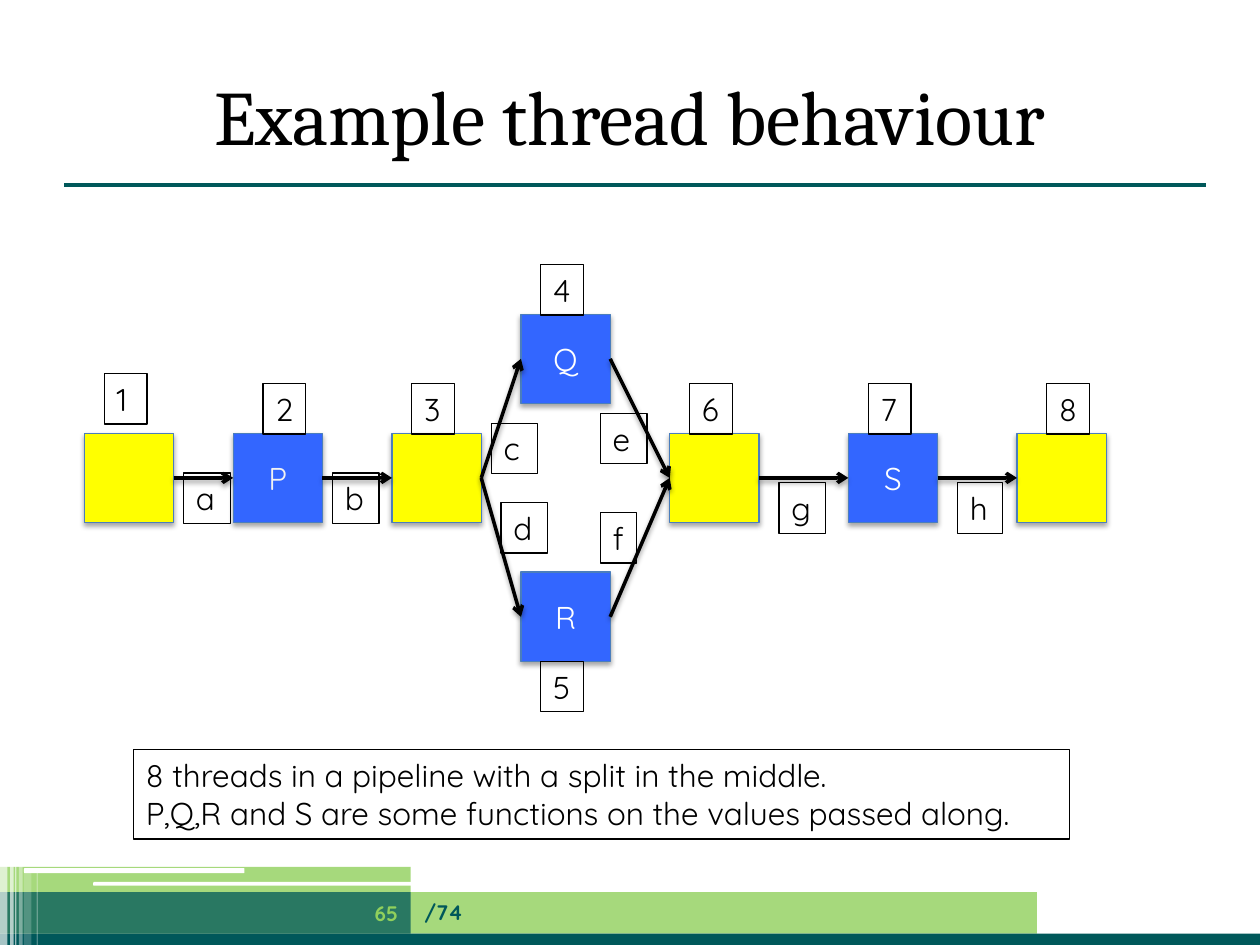
from dataclasses import dataclass

from lxml import etree
from pptx import Presentation
from pptx.dml.color import RGBColor
from pptx.enum.shapes import MSO_CONNECTOR, MSO_SHAPE
from pptx.enum.text import MSO_ANCHOR, MSO_AUTO_SIZE, PP_ALIGN
from pptx.oxml.ns import qn
from pptx.util import Inches, Pt

RECT, ROUNDED = MSO_SHAPE.RECTANGLE, MSO_SHAPE.ROUNDED_RECTANGLE
STRAIGHT = MSO_CONNECTOR.STRAIGHT
LEFT, CENTER, RIGHT = PP_ALIGN.LEFT, PP_ALIGN.CENTER, PP_ALIGN.RIGHT
MIDDLE, TOP = MSO_ANCHOR.MIDDLE, MSO_ANCHOR.TOP
FIT_SHAPE, NO_FIT = MSO_AUTO_SIZE.SHAPE_TO_FIT_TEXT, MSO_AUTO_SIZE.NONE
LEFT_SIDE, RIGHT_SIDE = 1, 3


@dataclass(frozen=True)
class Theme:
    teal: str = "00585A"
    green: str = "90D05C"
    white: str = "FFFFFF"
    black: str = "000000"
    yellow: str = "FFFF00"
    blue: str = "3366FF"
    outline: str = "4B7EBC"
    pale: str = "F2F2F2"
    title_font: str = "Cambria"
    body_font: str = "Quicksand"
    title_size: int = 44
    body_size: int = 18
    footer_size: int = 12


THEME = Theme()
STEP = 2 / 25.4  # the diagram's grid: 2 mm
NODE = 9         # node side in grid steps

# name: column, row, function letter, letter colour
NODES = {
    "1": (0, 17, "", None), "2": (15, 17, "P", THEME.pale),
    "3": (31, 17, "", None), "4": (44, 5, "Q", THEME.white),
    "5": (44, 31, "R", THEME.white), "6": (59, 17, "", None),
    "7": (77, 17, "S", THEME.white), "8": (94, 17, "", None),
}
# thread number: column, row
NUMBERS = {"1": (2, 11), "2": (18, 12), "3": (33, 12), "4": (46, 0),
           "5": (46, 40), "6": (61, 12), "7": (79, 12), "8": (97, 12)}
# channel: from node, to node, label column, row, width in inches
CHANNELS = {
    "a": ("1", "2", 10, 21, 0.37), "b": ("2", "3", 25, 21, 0.37),
    "c": ("3", "4", 41, 16, 0.37), "d": ("3", "5", 42, 24, 0.37),
    "e": ("4", "6", 52, 15, 0.37), "f": ("5", "6", 52, 25, 0.29),
    "g": ("6", "7", 70, 22, 0.37), "h": ("7", "8", 88, 22, 0.36),
}


def rgb(value):
    return RGBColor.from_string(value)


def add_block(slide, box, color, alpha=100, shape=RECT):
    s = slide.shapes.add_shape(shape, *map(Inches, box))
    s.shadow.inherit = False
    s.fill.solid()
    s.fill.fore_color.rgb = rgb(color)
    s.line.fill.background()
    if alpha < 100:
        clr = s.fill._xPr.find(qn("a:solidFill"))[0]
        etree.SubElement(clr, qn("a:alpha"), val=str(alpha * 1000))
    return s


def add_shadow(s, alpha, distance):
    sp_pr = s._element.spPr
    effects = sp_pr.find(qn("a:effectLst"))
    if effects is None:
        effects = etree.SubElement(sp_pr, qn("a:effectLst"))
    shadow = etree.SubElement(effects, qn("a:outerShdw"), blurRad=str(Pt(3.1)),
                              dist=str(Pt(distance)), dir="5400000", rotWithShape="0")
    clr = etree.SubElement(shadow, qn("a:srgbClr"), val=THEME.black)
    etree.SubElement(clr, qn("a:alpha"), val=str(alpha * 1000))


def set_text(s, text, size, color, align=LEFT, font=THEME.body_font, bold=False):
    tf = s.text_frame
    tf.text = text
    for p in tf.paragraphs:
        p.alignment = align
        for r in p.runs:
            r.font.size, r.font.name, r.font.bold = Pt(size), font, bold
            r.font.color.rgb = rgb(color)


def add_label(slide, box, text, wrap=False):
    s = slide.shapes.add_textbox(*map(Inches, box))
    s.line.color.rgb = rgb(THEME.black)
    s.line.width = Pt(0.75)
    s.text_frame.word_wrap = wrap
    s.text_frame.auto_size = NO_FIT if wrap else FIT_SHAPE
    s.text_frame.vertical_anchor = TOP
    set_text(s, text, THEME.body_size, THEME.black)


def add_line(slide, start, end, color, width):
    s = slide.shapes.add_connector(STRAIGHT, *map(Inches, (*start, *end)))
    s.line.color.rgb = rgb(color)
    s.line.width = Pt(width)
    etree.SubElement(s._element.spPr, qn("a:effectLst"))
    return s


def build_footer(slide, box, page, total):
    x, y, w, h = box
    split = x + 0.326 * w
    # Colour bands
    add_block(slide, (x, y + 0.22, 0.823 * w, 0.33), THEME.green, 80)
    add_block(slide, (x, y + 0.55, w, h - 0.55), THEME.teal)
    add_block(slide, (x, y + 0.22, split - x, 0.33), THEME.teal, 75)
    add_block(slide, (x, y + 0.02, split - x, 0.2), THEME.green, 80)
    # White streaks
    for left, top, width, height in ((0.74, 0.14, 3.35, 0.03), (0.19, 0.03, 1.75, 0.04)):
        add_block(slide, (x + left, y + top, width, height), THEME.white, shape=ROUNDED)
    # Fading stripes: left, top, width, opacity
    for left, top, width, alpha in ((0, 0, 0.06, 65), (0.08, 0, 0.03, 65),
                                    (0.12, 0, 0.01, 60), (0.15, 0, 0.03, 40),
                                    (0.19, 0.04, 0.06, 20), (0.29, 0.04, 0.01, 30)):
        add_block(slide, (x + left, y + top, width, h - top), THEME.white, alpha)
    # Page number and total
    for text, left, top, width, color, align in (
            (f"/{total}", split + 0.01, 0.18, 4.96, THEME.teal, LEFT),
            (str(page), split - 0.7, 0.19, 0.7, THEME.green, RIGHT)):
        s = slide.shapes.add_textbox(*map(Inches, (left, y + top, width, 0.4)))
        s.text_frame.word_wrap = True
        s.text_frame.vertical_anchor = MIDDLE
        set_text(s, text, THEME.footer_size, color, align, bold=True)


def build_title(slide, box, text):
    x, y, w, h = box
    title = slide.shapes.title
    title.left, title.top, title.width, title.height = map(Inches, box)
    title.text_frame.vertical_anchor = MIDDLE
    set_text(title, text, THEME.title_size, THEME.black, CENTER, THEME.title_font)
    rule = y + h + 0.09
    add_line(slide, (x + 0.01, rule), (x + w + 0.07, rule), THEME.teal, 2.25)


def build_pipeline(slide, origin):
    def at(col, row):
        return origin[0] + col * STEP, origin[1] + row * STEP

    # Threads
    nodes = {}
    for name, (col, row, letter, color) in NODES.items():
        s = add_block(slide, (*at(col, row), NODE * STEP, NODE * STEP),
                      THEME.blue if letter else THEME.yellow)
        s.line.color.rgb = rgb(THEME.outline)
        s.line.width = Pt(0.75)
        add_shadow(s, 35, 1.8)
        if letter:
            s.text_frame.vertical_anchor = MIDDLE
            set_text(s, letter, THEME.body_size, color, CENTER)
        nodes[name] = s
    # Channels
    for start, end, *_ in CHANNELS.values():
        c = add_line(slide, origin, origin, THEME.black, 2)
        c.begin_connect(nodes[start], RIGHT_SIDE)
        c.end_connect(nodes[end], LEFT_SIDE)
        etree.SubElement(c.line._get_or_add_ln(), qn("a:tailEnd"), type="arrow")
        add_shadow(c, 38, 1.6)
    # Labels
    for name, (_, _, col, row, width) in CHANNELS.items():
        add_label(slide, (*at(col, row), width, 0.4), name)
    for name, (col, row) in NUMBERS.items():
        add_label(slide, (*at(col, row), 0.34, 0.4), name)


def main():
    prs = Presentation()
    prs.slide_width, prs.slide_height = Inches(10), Inches(7.5)
    slide = prs.slides.add_slide(prs.slide_layouts[5])
    build_footer(slide, (0, 6.86, 10, 0.66), 65, 74)
    build_title(slide, (0.5, 0.44, 9, 0.94), "Example thread behaviour")
    build_pipeline(slide, (0.67, 2.1))
    add_label(slide, (1.06, 5.95, 7.43, 0.71),
              "8 threads in a pipeline with a split in the middle.\n"
              "P,Q,R and S are some functions on the values passed along.", wrap=True)
    prs.save("out.pptx")


if __name__ == "__main__":
    main()
